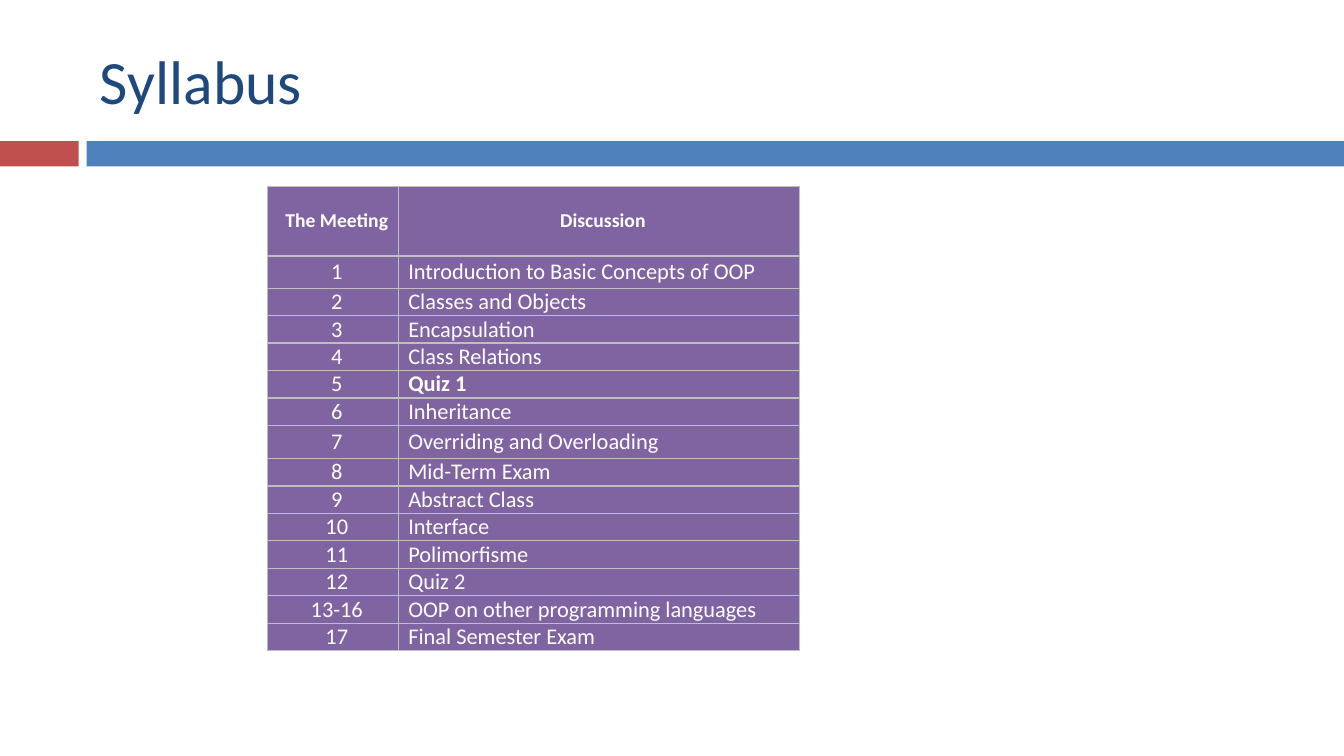
from dataclasses import dataclass

from lxml import etree
from pptx import Presentation
from pptx.dml.color import RGBColor
from pptx.enum.shapes import MSO_SHAPE
from pptx.enum.text import MSO_ANCHOR, PP_ALIGN
from pptx.oxml.ns import qn
from pptx.shapes.autoshape import Shape
from pptx.slide import Slide
from pptx.table import _Cell
from pptx.text.text import _Paragraph
from pptx.util import Inches, Pt

RECTANGLE = MSO_SHAPE.RECTANGLE
MIDDLE = MSO_ANCHOR.MIDDLE
LEFT, CENTER = PP_ALIGN.LEFT, PP_ALIGN.CENTER

RED = RGBColor(0xC0, 0x50, 0x4D)
BLUE = RGBColor(0x4F, 0x81, 0xBD)
NAVY = RGBColor(0x1F, 0x49, 0x7D)
PURPLE = RGBColor(0x80, 0x64, 0xA2)
GREY = RGBColor(0xBF, 0xBF, 0xBF)
WHITE = RGBColor(0xFF, 0xFF, 0xFF)

FONT = "Calibri"
TITLE_ONLY_LAYOUT = 5
HEADERS = ("The Meeting", "Discussion")
HEADER_HEIGHT = 0.69
COLUMN_WIDTHS = (1.3, 3.98)


@dataclass(frozen=True)
class Bar:
    left: float
    width: float
    color: RGBColor


@dataclass(frozen=True)
class Meeting:
    number: str
    topic: str
    height: float = 0.27
    bold: bool = False


BARS = (Bar(0, 0.78, RED), Bar(0.86, 12.47, BLUE))

MEETINGS = (
    Meeting("1", "Introduction to Basic Concepts of OOP", height=0.32),
    Meeting("2", "Classes and Objects"),
    Meeting("3", "Encapsulation"),
    Meeting("4", "Class Relations"),
    Meeting("5", "Quiz 1", bold=True),
    Meeting("6", "Inheritance"),
    Meeting("7", "Overriding and Overloading", height=0.33),
    Meeting("8", "Mid-Term Exam"),
    Meeting("9", "Abstract Class"),
    Meeting("10", "Interface"),
    Meeting("11", "Polimorfisme"),
    Meeting("12", "Quiz 2"),
    Meeting("13-16", "OOP on other programming languages"),
    Meeting("17", "Final Semester Exam"),
)


def format_paragraph(paragraph: _Paragraph, size: int, color: RGBColor,
                     alignment: PP_ALIGN, bold: bool = False) -> None:
    paragraph.alignment = alignment
    for run in paragraph.runs:
        run.font.name = FONT
        run.font.size = Pt(size)
        run.font.bold = bold
        run.font.color.rgb = color


def add_bar(slide: Slide, bar: Bar) -> Shape:
    shape = slide.shapes.add_shape(
        RECTANGLE, Inches(bar.left), Inches(1.4), Inches(bar.width), Inches(0.25))
    shape.shadow.inherit = False
    shape.fill.solid()
    shape.fill.fore_color.rgb = bar.color
    shape.line.fill.background()
    return shape


def set_title(slide: Slide, text: str) -> None:
    title = slide.shapes.title
    title.left, title.top = Inches(0.89), Inches(0.25)
    title.width, title.height = Inches(11.89), Inches(1.08)
    title.text_frame.text = text
    title.text_frame.vertical_anchor = MIDDLE
    format_paragraph(title.text_frame.paragraphs[0], 44, NAVY, LEFT)


def add_borders(cell: _Cell) -> None:
    """Draw thin grey lines on all four sides, ahead of the cell's fill."""
    properties = cell._tc.get_or_add_tcPr()
    for position, side in enumerate(("a:lnL", "a:lnR", "a:lnT", "a:lnB")):
        line = etree.Element(qn(side), w=str(Pt(1)))
        fill = etree.SubElement(line, qn("a:solidFill"))
        etree.SubElement(fill, qn("a:srgbClr"), val=str(GREY))
        properties.insert(position, line)


def fill_cell(cell: _Cell, text: str, size: int, alignment: PP_ALIGN,
              bold: bool) -> None:
    cell.text_frame.text = text
    cell.vertical_anchor = MIDDLE
    cell.margin_left, cell.margin_right = Inches(0.1), Inches(0.02)
    cell.margin_top = cell.margin_bottom = 0
    cell.fill.solid()
    cell.fill.fore_color.rgb = PURPLE
    format_paragraph(cell.text_frame.paragraphs[0], size, WHITE, alignment, bold)
    add_borders(cell)


def add_syllabus(slide: Slide) -> None:
    heights = [HEADER_HEIGHT] + [meeting.height for meeting in MEETINGS]
    table = slide.shapes.add_table(
        len(heights), len(HEADERS), Inches(2.65), Inches(1.85),
        Inches(sum(COLUMN_WIDTHS)), Inches(sum(heights))).table
    for column, width in zip(table.columns, COLUMN_WIDTHS):
        column.width = Inches(width)
    for row, height in zip(table.rows, heights):
        row.height = Inches(height)
    for column_index, header in enumerate(HEADERS):
        fill_cell(table.cell(0, column_index), header, 14, CENTER, True)
    for row_index, meeting in enumerate(MEETINGS, start=1):
        fill_cell(table.cell(row_index, 0), meeting.number, 16, CENTER, False)
        fill_cell(table.cell(row_index, 1), meeting.topic, 16, LEFT, meeting.bold)


def main() -> None:
    presentation = Presentation()
    presentation.slide_width = Inches(13.33)
    presentation.slide_height = Inches(7.5)
    slide = presentation.slides.add_slide(
        presentation.slide_layouts[TITLE_ONLY_LAYOUT])
    for bar in BARS:
        add_bar(slide, bar)
    set_title(slide, "Syllabus")
    add_syllabus(slide)
    presentation.save("out.pptx")


if __name__ == "__main__":
    main()
